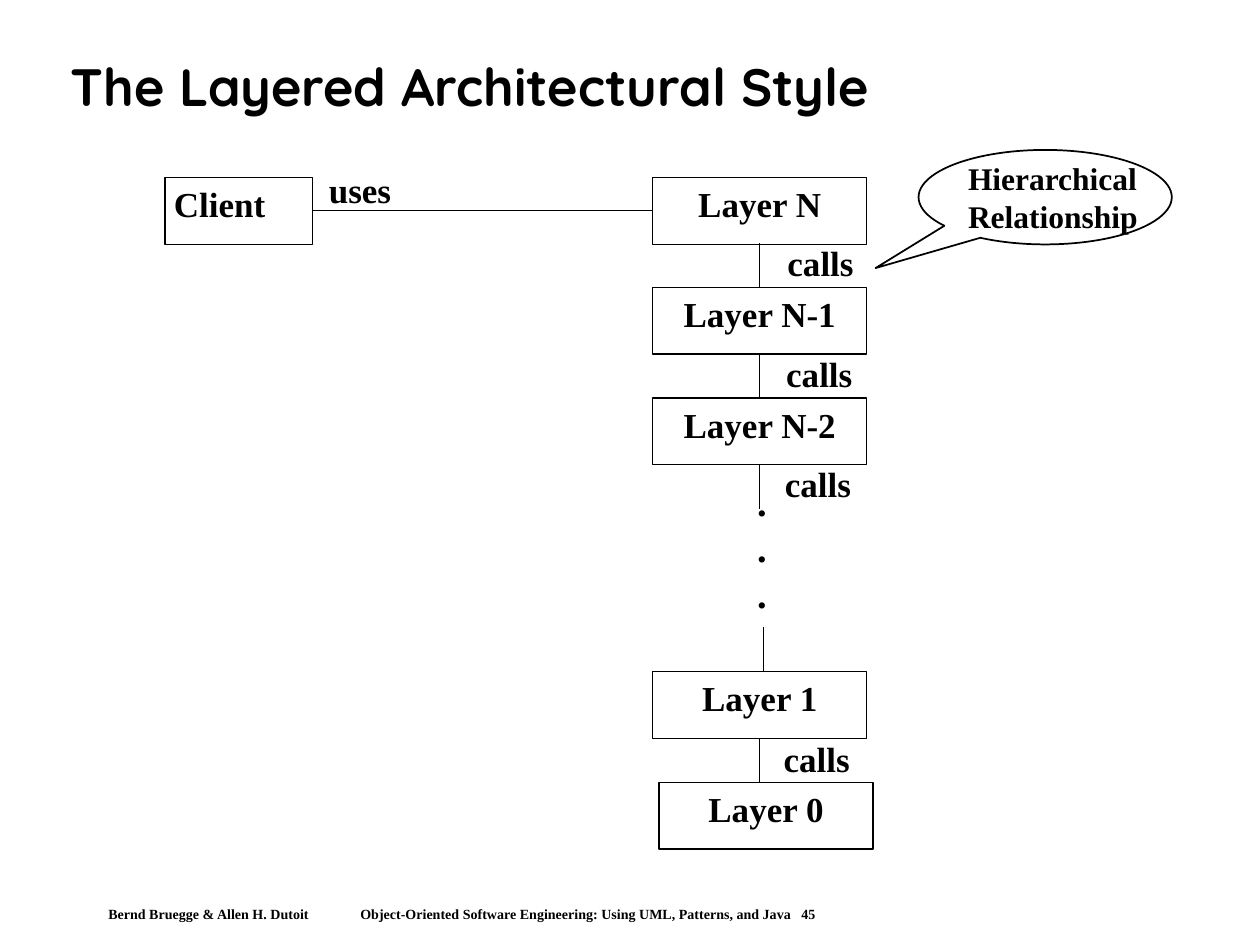
from dataclasses import dataclass

from lxml import etree
from pptx import Presentation
from pptx.dml.color import RGBColor
from pptx.enum.shapes import MSO_CONNECTOR, MSO_SHAPE
from pptx.enum.text import MSO_ANCHOR, PP_ALIGN
from pptx.oxml.ns import qn
from pptx.shapes.autoshape import Shape
from pptx.slide import Slide
from pptx.text.text import TextFrame
from pptx.util import Inches, Pt

RECTANGLE = MSO_SHAPE.RECTANGLE
CALLOUT = MSO_SHAPE.OVAL_CALLOUT
STRAIGHT = MSO_CONNECTOR.STRAIGHT
TOP, MIDDLE = MSO_ANCHOR.TOP, MSO_ANCHOR.MIDDLE
LEFT, CENTER = PP_ALIGN.LEFT, PP_ALIGN.CENTER

BLACK, WHITE = "000000", "FFFFFF"
SERIF, HEADING = "Times New Roman", "Quicksand"
BOX_HEIGHT = 0.53
LAYER_WIDTH = 1.7
LAYER_LEFT = 5.18
LAYER_CENTER = LAYER_LEFT + LAYER_WIDTH / 2
LINK_LENGTH = 0.35


@dataclass
class Box:
    text: str
    left: float
    top: float
    width: float = LAYER_WIDTH
    align: PP_ALIGN = CENTER


@dataclass
class Label:
    text: str
    left: float
    top: float
    width: float = 0.67
    height: float = 0.41
    size: float = 20
    wrap: bool = False


@dataclass
class Link:
    x1: float
    y1: float
    x2: float
    y2: float


BOXES = [
    Box("Client", 1.31, 1.41, 1.17, LEFT),
    Box("Layer N", LAYER_LEFT, 1.41),
    Box("Layer N-1", LAYER_LEFT, 2.28),
    Box("Layer N-2", LAYER_LEFT, 3.16),
    Box("Layer 1", LAYER_LEFT, 5.33),
    Box("Layer 0", 5.23, 6.21),
]
LINKS = [Link(2.48, 1.67, LAYER_LEFT, 1.67)] + [
    Link(x, y, x, y + LINK_LENGTH)
    for x, y in [(LAYER_CENTER, 1.93), (LAYER_CENTER, 2.81),
                 (LAYER_CENTER, 3.69), (LAYER_CENTER, 5.86), (6.06, 4.98)]
]
LABELS = [
    Label("...", 5.94, 3.75, 0.23, 1.21, 22, True),
    Label("uses", 2.54, 1.3, 0.64),
    Label("calls", 6.18, 1.88),
    Label("calls", 6.17, 2.76),
    Label("calls", 6.16, 3.63),
    Label("calls", 6.15, 5.81),
]
FOOTER = [
    "Bernd Bruegge & Allen H. Dutoit",
    "Object-Oriented Software Engineering: Using UML, Patterns, and Java",
    "45",
]
FOOTER_TABS = [2.81, 7.99]


def color(value: str) -> RGBColor:
    return RGBColor.from_string(value)


def write(frame: TextFrame, text: str, size: float, align: PP_ALIGN = LEFT,
          name: str = SERIF) -> None:
    frame.text = text
    font_format = {"size": Pt(size), "name": name, "bold": True}
    for paragraph in frame.paragraphs:
        paragraph.alignment = align
        for attribute, value in font_format.items():
            setattr(paragraph.font, attribute, value)
        paragraph.font.color.rgb = color(BLACK)


def format_frame(frame: TextFrame, side: float, edge: float,
                 anchor: MSO_ANCHOR = TOP, wrap: bool = True) -> None:
    frame_format = {
        "margin_left": Inches(side), "margin_right": Inches(side),
        "margin_top": Inches(edge), "margin_bottom": Inches(edge),
        "vertical_anchor": anchor, "word_wrap": wrap,
    }
    for attribute, value in frame_format.items():
        setattr(frame, attribute, value)


def outline(shape: Shape, width: float) -> None:
    """Give a shape a white fill, a black line and no shadow."""
    shape.shadow.inherit = False
    shape.fill.solid()
    shape.fill.fore_color.rgb = color(WHITE)
    shape.line.color.rgb = color(BLACK)
    shape.line.width = Pt(width)


def add_title(slide: Slide) -> None:
    title = slide.shapes.title
    title.left, title.top = Inches(0.46), Inches(0.24)
    title.width, title.height = Inches(8.92), Inches(0.94)
    format_frame(title.text_frame, 0.1, 0.05, MIDDLE)
    write(title.text_frame, "The Layered Architectural Style", 30, name=HEADING)
    title.text_frame.paragraphs[0].line_spacing = 0.9


def add_box(slide: Slide, box: Box) -> None:
    shape = slide.shapes.add_shape(RECTANGLE, Inches(box.left), Inches(box.top),
                                   Inches(box.width), Inches(BOX_HEIGHT))
    outline(shape, 0.75)
    format_frame(shape.text_frame, 0.07, 0.04)
    write(shape.text_frame, box.text, 20, box.align)


def add_link(slide: Slide, link: Link) -> None:
    connector = slide.shapes.add_connector(
        STRAIGHT, Inches(link.x1), Inches(link.y1), Inches(link.x2), Inches(link.y2))
    connector.line.color.rgb = color(BLACK)
    connector.line.width = Pt(0.75)
    etree.SubElement(connector._element.spPr, qn("a:effectLst"))


def add_label(slide: Slide, label: Label) -> None:
    shape = slide.shapes.add_textbox(Inches(label.left), Inches(label.top),
                                     Inches(label.width), Inches(label.height))
    format_frame(shape.text_frame, 0.07, 0.04, wrap=label.wrap)
    write(shape.text_frame, label.text, label.size)


def add_callout(slide: Slide) -> None:
    callout = slide.shapes.add_shape(CALLOUT, Inches(7.29), Inches(1.19),
                                     Inches(2.01), Inches(0.75))
    callout.adjustments[0], callout.adjustments[1] = -0.67, 0.75
    outline(callout, 1)
    format_frame(callout.text_frame, 0.1, 0.05, MIDDLE, False)
    write(callout.text_frame, "Hierarchical\nRelationship", 18)


def add_footer(slide: Slide) -> None:
    footer = slide.shapes.add_textbox(Inches(0.78), Inches(7.15),
                                      Inches(8.27), Inches(0.21))
    frame = footer.text_frame
    format_frame(frame, 0.08, 0.04)
    frame.margin_right = 0
    properties = frame.paragraphs[0]._p.get_or_add_pPr()
    tabs = etree.SubElement(properties, qn("a:tabLst"))
    for position in FOOTER_TABS:
        etree.SubElement(tabs, qn("a:tab"), pos=str(Inches(position)), algn="l")
    write(frame, "\t".join(FOOTER), 8)


def main() -> None:
    presentation = Presentation()
    presentation.slide_width, presentation.slide_height = Inches(10), Inches(7.5)
    slide = presentation.slides.add_slide(presentation.slide_layouts[5])
    add_footer(slide)
    add_title(slide)
    for box in BOXES:
        add_box(slide, box)
    for link in LINKS:
        add_link(slide, link)
    for label in LABELS:
        add_label(slide, label)
    add_callout(slide)
    presentation.save("out.pptx")


if __name__ == "__main__":
    main()
